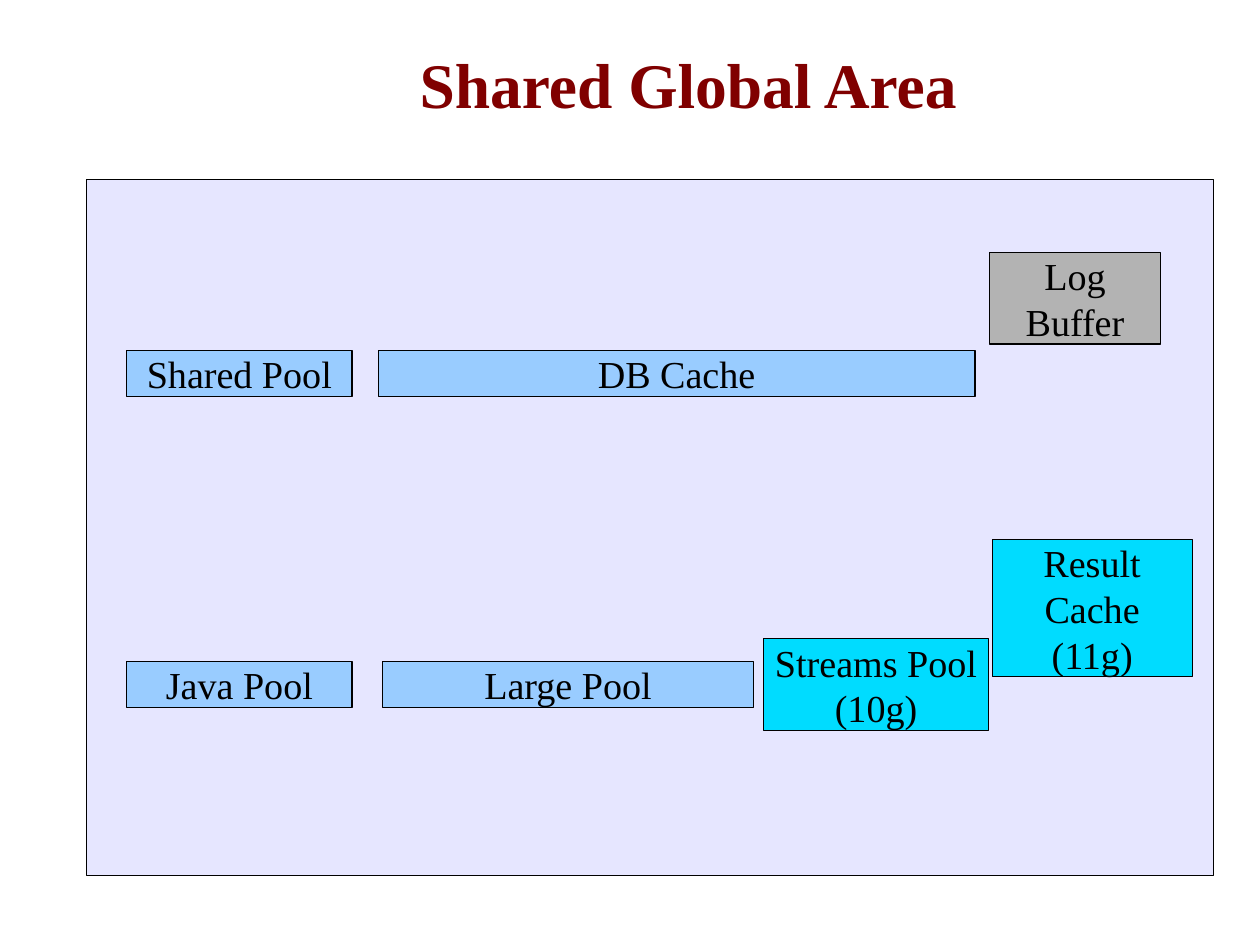
from pptx import Presentation
from pptx.dml.color import RGBColor
from pptx.enum.shapes import MSO_SHAPE
from pptx.enum.text import MSO_ANCHOR, PP_ALIGN
from pptx.util import Cm, Inches, Pt

FONT = "Times New Roman"
BLACK, MAROON = "000000", "800000"
LAVENDER, BLUE, CYAN, GRAY = "E6E6FF", "99CCFF", "00DCFF", "B3B3B3"

# Grid: pool rows by their centre, one text line high per unit
LINE_HEIGHT = 0.4
UPPER_ROW, LOWER_ROW = 3.27, 5.99
FIRST_COLUMN, POOL_WIDTH = 1.11, 1.97

# Label lines, left, row centre, width, height in lines, fill
MEMORY_AREAS = [
    (["Shared Pool"], FIRST_COLUMN, UPPER_ROW, POOL_WIDTH, 1, BLUE),
    (["DB Cache"], 3.31, UPPER_ROW, 5.22, 1, BLUE),
    (["Log", "Buffer"], 8.66, 2.61, 1.49, 2, GRAY),
    (["Java Pool"], FIRST_COLUMN, LOWER_ROW, POOL_WIDTH, 1, BLUE),
    (["Large Pool"], 3.35, LOWER_ROW, 3.24, 1, BLUE),
    (["Streams Pool", "(10g)"], 6.68, LOWER_ROW, POOL_WIDTH, 2, CYAN),
    (["Result Cache", "(11g)"], 8.68, 5.32, 1.75, 3, CYAN),
]


def color(value):
    return RGBColor.from_string(value)


def write(box, lines, size, tint, bold=False, spacing=None):
    frame = box.text_frame
    frame.word_wrap = True
    frame.vertical_anchor = MSO_ANCHOR.MIDDLE
    frame.margin_left = frame.margin_right = 0
    frame.margin_top = frame.margin_bottom = 0
    for index, line in enumerate(lines):
        para = frame.add_paragraph() if index else frame.paragraphs[0]
        para.alignment = PP_ALIGN.CENTER
        para.line_spacing = spacing
        span = para.add_run()
        span.text = line
        span.font.name = FONT
        span.font.size = Pt(size)
        span.font.bold = bold
        span.font.color.rgb = color(tint)


def add_panel(page, left, top, width, height, fill):
    panel = page.shapes.add_shape(
        MSO_SHAPE.ROUNDED_RECTANGLE,
        Inches(left), Inches(top), Inches(width), Inches(height))
    panel.adjustments[0] = 0
    panel.shadow.inherit = False
    panel.fill.solid()
    panel.fill.fore_color.rgb = color(fill)
    panel.line.color.rgb = color(BLACK)
    panel.line.width = Pt(0.75)
    return panel


def add_title(page, text):
    box = page.shapes.add_textbox(
        Inches(1.01), Inches(0.21), Inches(10.02), Inches(0.92))
    write(box, [text], 40, MAROON, bold=True, spacing=1.16)


def add_memory_area(page, lines, left, centre, width, rows, fill):
    height = rows * LINE_HEIGHT
    panel = add_panel(page, left, centre - height / 2, width, height, fill)
    write(panel, lines, 24, BLACK)


def main():
    deck = Presentation()
    deck.slide_width, deck.slide_height = Cm(28), Cm(21)
    page = deck.slides.add_slide(deck.slide_layouts[6])

    add_title(page, "Shared Global Area")

    # Global area with its pools and caches
    add_panel(page, 0.76, 1.57, 9.86, 6.09, LAVENDER)
    for area in MEMORY_AREAS:
        add_memory_area(page, *area)

    deck.save("out.pptx")


if __name__ == "__main__":
    main()
